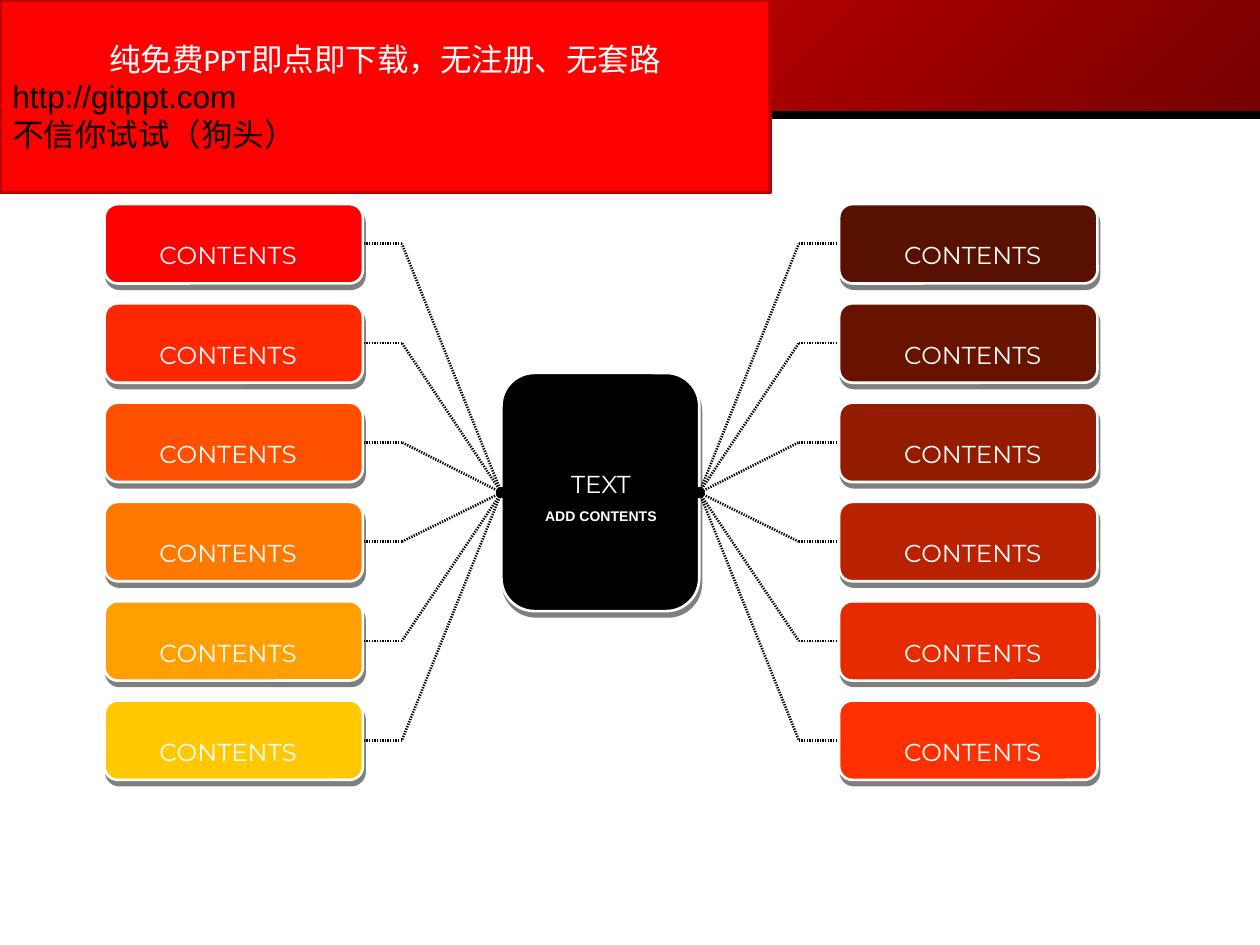
import pptx
import pptx.util
import pptx.dml.color
import pptx.enum.shapes
import pptx.enum.text
import pptx.oxml
import pptx.oxml.ns
from pptx.util import Inches

LEFT_COLORS = ["FF0000", "FF2800", "FF5000", "FF7800", "FFA000", "FFC800"]
RIGHT_COLORS = ["581000", "671300", "931B00", "B82200", "E62B00", "FF3000"]
FIRST_TOP, LAST_TOP = 1.62, 5.56
ROW_PITCH = (LAST_TOP - FIRST_TOP) / (len(LEFT_COLORS) - 1)
BOX_WIDTH, BOX_HEIGHT = 2.05, 0.63
HUB_LEFT, HUB_TOP, HUB_WIDTH, HUB_HEIGHT = 3.98, 2.96, 1.57, 1.89
HUB_MIDDLE = 3.91
SHAPES = pptx.enum.shapes.MSO_SHAPE
ALIGN = pptx.enum.text.PP_ALIGN


def rgb(color):
    return pptx.dml.color.RGBColor.from_string(color)


def element(tag, attributes="", content=""):
    namespace = pptx.oxml.ns.nsdecls("a")
    return pptx.oxml.parse_xml(f"<a:{tag} {namespace} {attributes}>{content}</a:{tag}>")


def format_paragraph(paragraph, text, size, font, color, align, bold=False):
    paragraph.text = text
    paragraph.alignment = align
    paragraph.font.size = pptx.util.Pt(size)
    paragraph.font.name = font
    paragraph.font.bold = bold
    paragraph.font.color.rgb = rgb(color)


def add_box(slide, preset, left, top, width, height, fill, line, line_width):
    box = slide.shapes.add_shape(
        preset, Inches(left), Inches(top), Inches(width), Inches(height))
    box.shadow.inherit = False
    box.fill.solid()
    box.fill.fore_color.rgb = rgb(fill)
    box.line.color.rgb = rgb(line)
    box.line.width = pptx.util.Pt(line_width)
    return box


def add_raised_box(slide, left, top, width, height, fill):
    box = add_box(slide, SHAPES.ROUNDED_RECTANGLE, left, top, width, height,
                  fill, "FFFFFF", 1.5)
    box.adjustments[0] = 0.167
    effects = box._element.spPr.find(pptx.oxml.ns.qn("a:effectLst"))
    effects.append(element(
        "outerShdw",
        f'blurRad="0" dist="{pptx.util.Pt(3.2)}" dir="{72 * 60000}" '
        'algn="ctr" rotWithShape="0"',
        '<a:srgbClr val="000000"><a:alpha val="50000"/></a:srgbClr>'))


def add_label(slide, left, top, width, height, text, size, font, bold=False):
    label = slide.shapes.add_textbox(
        Inches(left), Inches(top), Inches(width), Inches(height))
    label.text_frame.word_wrap = False
    format_paragraph(label.text_frame.paragraphs[0], text, size, font, "FFFFFF",
                     ALIGN.CENTER, bold)


def add_line(slide, start, end, width, dotted=False, oval_start=False):
    line = slide.shapes.add_connector(
        pptx.enum.shapes.MSO_CONNECTOR.STRAIGHT,
        *(Inches(value) for value in (*start, *end)))
    line.line.color.rgb = rgb("000000")
    line.line.width = pptx.util.Pt(width)
    outline = line.line._get_or_add_ln()
    if dotted:
        outline.append(element("custDash", content='<a:ds d="50000" sp="50000"/>'))
    if oval_start:
        outline.append(element("headEnd", 'type="oval"'))
    line._element.spPr.append(element("effectLst"))


def add_header(slide):
    header = add_box(slide, SHAPES.RECTANGLE, 0, 0, 10, 0.91, "FF0000", "FF0000", 1)
    header.line.fill.background()
    header.fill.gradient()
    header.fill.gradient_angle = 315
    for stop, color, position in zip(
            header.fill.gradient_stops, ("FF0000", "760000"), (0, 1)):
        stop.color.rgb = rgb(color)
        stop.position = position
    add_line(slide, (0, 0.91), (10, 0.91), 4.5)


def add_hub(slide):
    add_raised_box(slide, HUB_LEFT, HUB_TOP, HUB_WIDTH, HUB_HEIGHT, "000000")
    add_label(slide, 4.3, 3.67, 0.94, 0.34, "TEXT", 14, "Montserrat")
    add_label(slide, 4.14, 3.98, 1.26, 0.23, "ADD CONTENTS", 8, "Arial", True)


def add_branches(slide, colors, box_left, box_edge, bend, hub_edge, label_left):
    for row, color in enumerate(colors):
        top = FIRST_TOP + row * ROW_PITCH
        middle = top + BOX_HEIGHT / 2
        add_line(slide, (hub_edge, HUB_MIDDLE), (bend, middle), 1.5, True, True)
        add_line(slide, (bend, middle), (box_edge, middle), 1.5, True)
        add_raised_box(slide, box_left, top, BOX_WIDTH, BOX_HEIGHT, color)
        add_label(slide, label_left, top + 0.24, 1.32, 0.34,
                  "CONTENTS", 14, "Montserrat")


def add_banner(slide):
    banner = add_box(slide, SHAPES.RECTANGLE, 0, 0, 6.11, 1.53,
                     "FF0000", "BC0000", 2)
    frame = banner.text_frame
    frame.word_wrap = True
    frame.vertical_anchor = pptx.enum.text.MSO_ANCHOR.MIDDLE
    format_paragraph(frame.paragraphs[0], "纯免费PPT即点即下载，无注册、无套路",
                     18, "Calibri", "FFFFFF", ALIGN.CENTER)
    for text in ("http://gitppt.com", "不信你试试（狗头）"):
        format_paragraph(frame.add_paragraph(), text, 18, "Arial", "000000", ALIGN.LEFT)


def main():
    presentation = pptx.Presentation()
    presentation.slide_width = Inches(10)
    presentation.slide_height = Inches(7.5)
    slide = presentation.slides.add_slide(presentation.slide_layouts[6])
    add_header(slide)
    add_hub(slide)
    add_branches(slide, LEFT_COLORS, 0.83, 2.88, 3.19, HUB_LEFT, 1.15)
    add_branches(slide, RIGHT_COLORS, 6.66, 6.66, 6.34, HUB_LEFT + HUB_WIDTH, 7.06)
    add_banner(slide)
    presentation.save("out.pptx")


if __name__ == "__main__":
    main()
